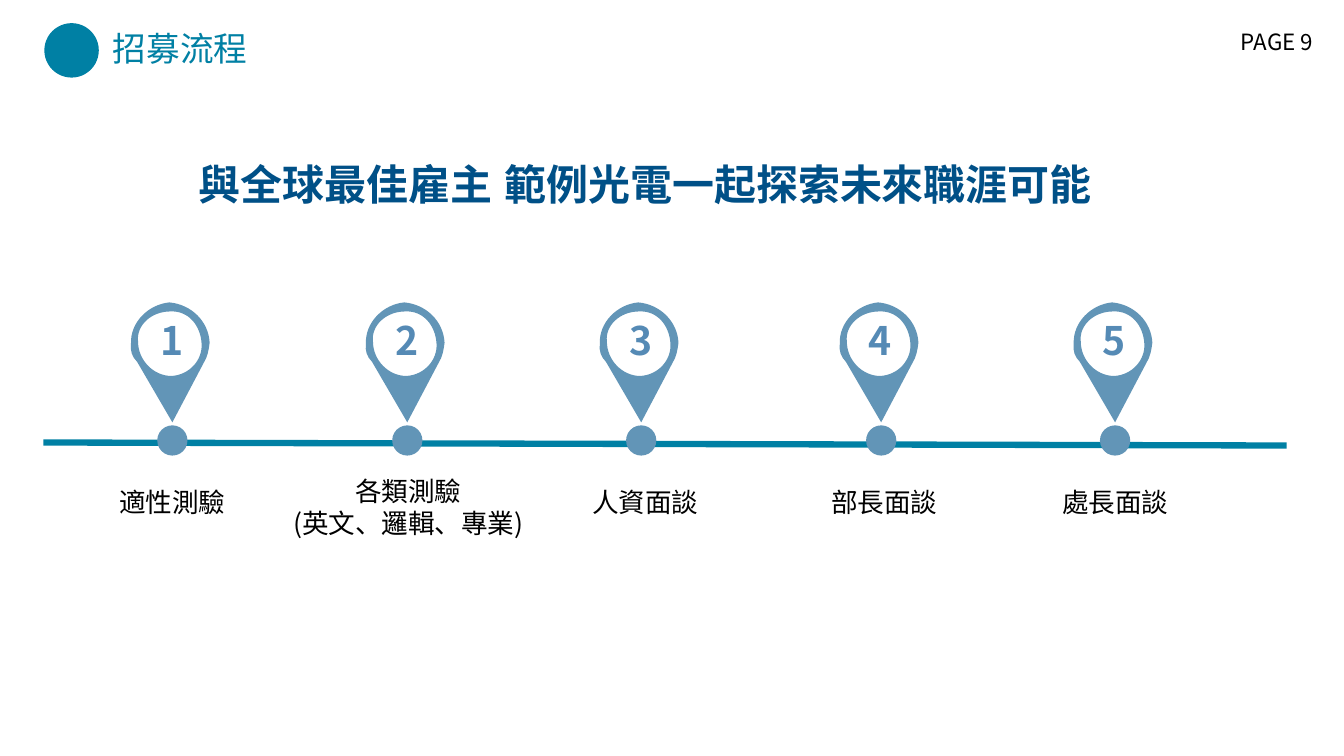
from math import cos, radians, sin
from lxml.etree import SubElement
from pptx import Presentation
from pptx.dml.color import RGBColor
from pptx.enum.shapes import MSO_CONNECTOR as Conn, MSO_SHAPE as Kind
from pptx.enum.text import MSO_ANCHOR as Anchor, PP_ALIGN as Align
from pptx.oxml.ns import qn
from pptx.util import Inches, Pt

TITLE = "招募流程"
PAGE = "PAGE 9"
HEAD = "與全球最佳雇主 範例光電一起探索未來職涯可能"
# dot centre, label centre, digit box width, label lines
STEPS = [
    (1.71, 1.71, 0.35, ["適性測驗"]),
    (4.04, 4.05, 0.35, ["各類測驗", "(英文、邏輯、專業)"]),
    (6.36, 6.4, 0.35, ["人資面談"]),
    (8.74, 8.77, 0.43, ["部長面談"]),
    (11.06, 11.06, 0.44, ["處長面談"]),
]
COLORS = {"teal": "0080A4", "pin": "6295B7", "digit": "558AB5",
          "navy": "005087", "black": "000000"}
SANS, BOLD, LATIN = "Noto Sans CJK SC", "Noto Sans CJK KR", "Arial"

# Pin outlines: a start point, then cubic curves; x from the dot centre, y on the slide
RIM = [(0.37, 3.4),
       [(0.36, 3.19), (0.19, 3.02), (-0.03, 3)],
       [(-0.24, 3.02), (-0.42, 3.2), (-0.41, 3.41)],
       [(-0.42, 3.48), (-0.4, 3.54), (-0.35, 3.59)],
       [(-0.35, 3.59), (0, 4.19), (0, 4.19)],
       [(0, 4.19), (0.31, 3.6), (0.31, 3.6)],
       [(0.35, 3.54), (0.36, 3.47), (0.37, 3.4)]]
HOLE = [(-0.01, 3.73),
        [(-0.19, 3.73), (-0.34, 3.57), (-0.34, 3.39)],
        [(-0.36, 3.23), (-0.21, 3.09), (-0.02, 3.09)],
        [(0.16, 3.08), (0.28, 3.23), (0.29, 3.41)],
        [(0.3, 3.57), (0.17, 3.72), (-0.01, 3.73)]]
LEFT, TOP, WIDE, HIGH = -0.66, 3.08, 1.11, 0.83  # pin frame before turning
TURN = 298.5
UNITS = 1000  # outline units per inch


def color(name):
    return RGBColor.from_string(COLORS[name])


def paint(shape, name):
    shape.shadow.inherit = False
    shape.fill.solid()
    shape.fill.fore_color.rgb = color(name)
    shape.line.fill.background()


def unturn(x, y):
    """Map a point of the upright pin into its unturned frame."""
    x, y = x - LEFT - WIDE / 2, y - TOP - HIGH / 2
    c, s = cos(radians(TURN)), sin(radians(TURN))
    return x * c + y * s + WIDE / 2, y * c - x * s + HIGH / 2


def trace(path, curves):
    """Add one closed contour of cubic curves to the path."""
    start, *rest = curves
    for tag, pts in [("a:moveTo", [start])] + [("a:cubicBezTo", c) for c in rest]:
        step = SubElement(path, qn(tag))
        for x, y in pts:
            px, py = unturn(x, y)
            dot = SubElement(step, qn("a:pt"))
            dot.set("x", str(round(px * UNITS)))
            dot.set("y", str(round(py * UNITS)))
    SubElement(path, qn("a:close"))


def write(shape, lines, size, font, tint, bold=False, align=Align.LEFT):
    frame = shape.text_frame
    frame.word_wrap = True
    frame.vertical_anchor = Anchor.TOP
    frame.text = "\n".join(lines)
    for para in frame.paragraphs:
        para.alignment = align
        face = para.font
        face.name, face.size, face.bold = font, Pt(size), bold
        face.color.rgb = color(tint)
        props = para._p.pPr.find(qn("a:defRPr"))
        SubElement(props, qn("a:ea")).set("typeface", font)


def main():
    deck = Presentation()
    deck.slide_width, deck.slide_height = Inches(13.33), Inches(7.5)
    slide = deck.slides.add_slide(deck.slide_layouts[5])
    shapes = slide.shapes

    def box(x, y, w, h):
        return shapes.add_textbox(Inches(x), Inches(y), Inches(w), Inches(h))

    def disc(x, y, size, tint):
        shape = shapes.add_shape(Kind.OVAL, Inches(x), Inches(y), Inches(size), Inches(size))
        paint(shape, tint)

    def pin(mid):
        draft = shapes.build_freeform(0, 0, scale=Inches(1) / UNITS)
        draft.add_line_segments([(round(WIDE * UNITS), round(HIGH * UNITS))])
        shape = draft.convert_to_shape(Inches(mid + LEFT), Inches(TOP))
        path = shape._element.spPr.find(".//" + qn("a:path"))
        for step in list(path):
            path.remove(step)
        trace(path, RIM)
        trace(path, HOLE)
        shape.rotation = TURN
        paint(shape, "pin")

    title = shapes.title
    title.left, title.top = Inches(1.02), Inches(0.23)
    title.width, title.height = Inches(7.8), Inches(0.5)
    write(title, [TITLE], 24, SANS, "teal")
    disc(0.44, 0.23, 0.54, "teal")
    write(box(12.21, 0.23, 0.98, 0.37), [PAGE], 16, SANS, "black")
    write(box(1.87, 1.52, 9.24, 0.61), [HEAD], 30, LATIN, "navy", True)

    track = shapes.add_connector(Conn.STRAIGHT, Inches(0.43), Inches(4.39),
                                 Inches(12.76), Inches(4.42))
    track.line.color.rgb = color("teal")
    track.line.width = Pt(4.5)
    SubElement(track._element.spPr, qn("a:effectLst"))

    for num, (mid, label, width, lines) in enumerate(STEPS, 1):
        pin(mid)
        disc(mid - 0.15, 4.22, 0.3, "pin")
        write(box(mid - 0.22, 3.09, width, 0.57), [str(num)], 28, BOLD, "digit", True)
        wide, top, high = (1.66, 4.77, 0.42) if len(lines) == 1 else (2.75, 4.66, 0.74)
        write(box(label - wide / 2, top, wide, high), lines, 19, SANS, "black",
              align=Align.CENTER)

    deck.save("out.pptx")


if __name__ == "__main__":
    main()
